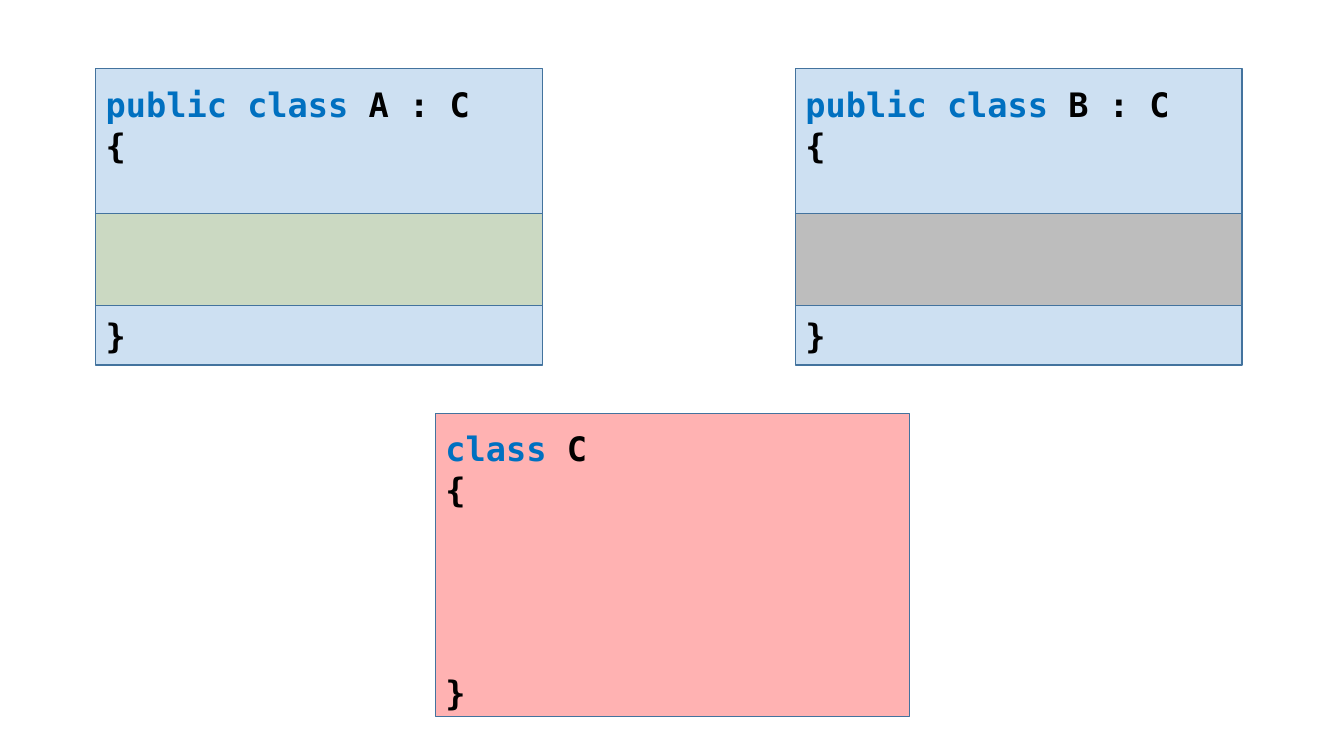
from lxml import etree
from pptx import Presentation
from pptx.dml.color import RGBColor
from pptx.enum.shapes import MSO_SHAPE
from pptx.enum.text import MSO_ANCHOR, PP_ALIGN
from pptx.oxml.ns import qn
from pptx.util import Inches, Pt

BLUE = RGBColor(0x5B, 0x9B, 0xD5)
GREEN = RGBColor(0x54, 0x82, 0x35)
GRAY = RGBColor(0x26, 0x26, 0x26)
RED = RGBColor(0xFF, 0x00, 0x00)
OUTLINE = RGBColor(0x43, 0x73, 0x9E)
KEYWORD = RGBColor(0x00, 0x70, 0xC0)
BLACK = RGBColor(0x00, 0x00, 0x00)

presentation = Presentation()
presentation.slide_width = Inches(13.33)
presentation.slide_height = Inches(7.5)
slide = presentation.slides.add_slide(presentation.slide_layouts[6])


def add_block(left, top, width, height, color):
    """Add an outlined rectangle with a 30 % opaque fill."""
    block = slide.shapes.add_shape(
        MSO_SHAPE.RECTANGLE, Inches(left), Inches(top), Inches(width), Inches(height))
    block.shadow.inherit = False
    block.fill.solid()
    block.fill.fore_color.rgb = color
    color_element = block.fill._xPr.find(qn("a:solidFill"))[0]
    etree.SubElement(color_element, qn("a:alpha"), val="30000")
    block.line.color.rgb = OUTLINE
    block.line.width = Pt(1)
    return block


def write_code(block, lines, top_inset=None):
    """Write lines of (space before, runs); without an inset, centre them vertically."""
    frame = block.text_frame
    frame.word_wrap = True
    frame.vertical_anchor = MSO_ANCHOR.MIDDLE
    if top_inset is not None:
        frame.vertical_anchor = MSO_ANCHOR.TOP
        frame.margin_top = Inches(top_inset)
    for index, (space, runs) in enumerate(lines):
        paragraph = frame.add_paragraph() if index else frame.paragraphs[0]
        paragraph.alignment = PP_ALIGN.LEFT
        if space:
            paragraph.space_before = Pt(space)
        for words, color in runs:
            run = paragraph.add_run()
            run.text = words
            run.font.name = "DejaVu Sans Mono"
            run.font.size = Pt(24)
            run.font.bold = True
            run.font.color.rgb = color


opening = (1, [("{", BLACK)])
class_width = 4.43

for name, left, body_color in (("A", 0.95, GREEN), ("B", 7.89, GRAY)):
    header = add_block(left, 0.68, class_width, 1.44, BLUE)
    declaration = [("public class ", KEYWORD), (f"{name} : C", BLACK)]
    write_code(header, [(0, declaration), opening], top_inset=0.15)
    add_block(left, 2.12, class_width, 0.91, body_color)
    footer = add_block(left, 3.03, class_width, 0.59, BLUE)
    write_code(footer, [(0, [("}", BLACK)])])

base_class = add_block(4.32, 4.1, 4.7, 3.01, RED)
base_declaration = [("class ", KEYWORD), ("C", BLACK)]
write_code(base_class, [(0, base_declaration), opening, (116, [("}", BLACK)])], top_inset=0.14)

presentation.save("out.pptx")
